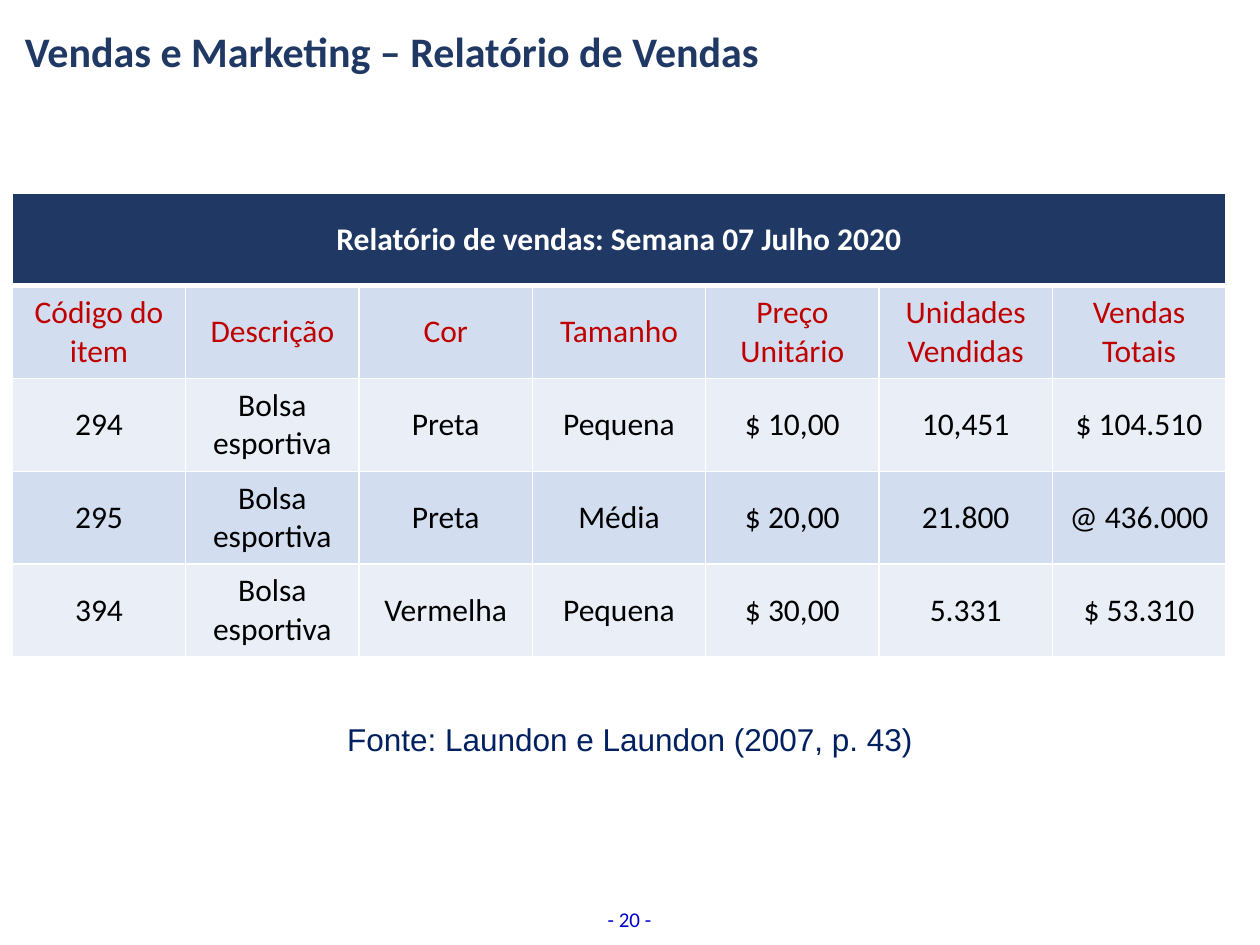
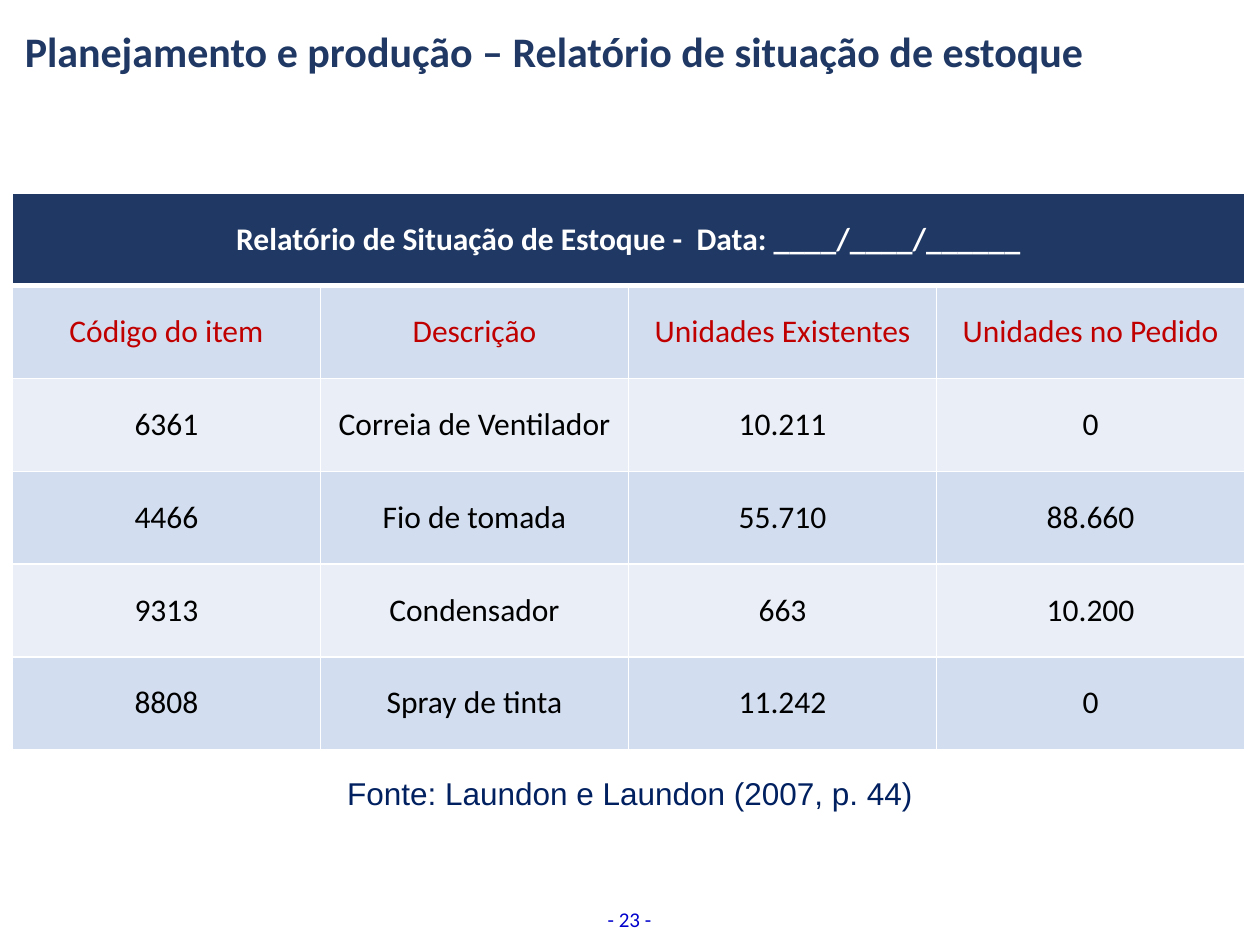
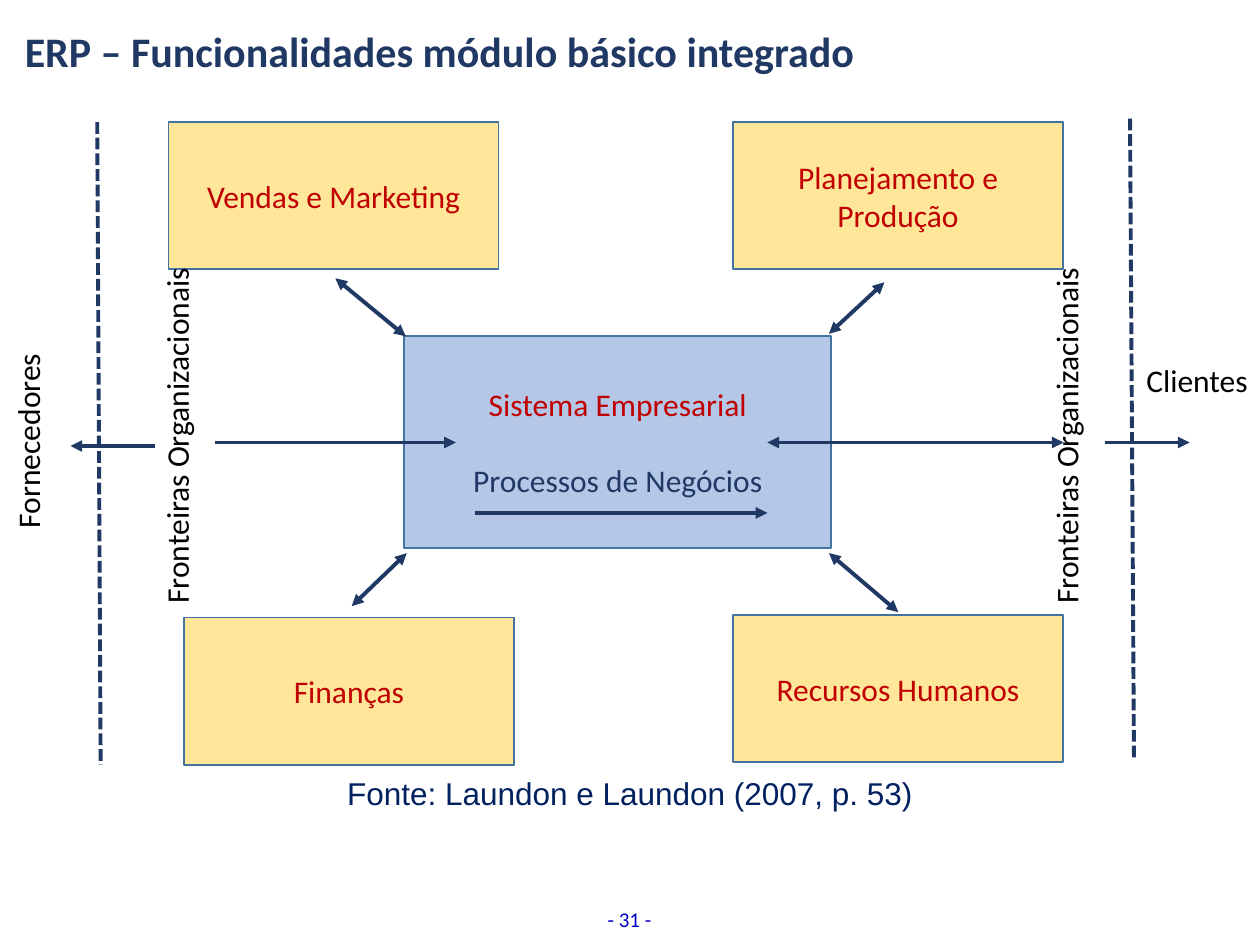
"""Build three slides: two report tables and the integrated ERP modules diagram."""
from lxml import etree
from pptx import Presentation
from pptx.dml.color import RGBColor
from pptx.enum.dml import MSO_LINE
from pptx.enum.shapes import MSO_CONNECTOR, MSO_SHAPE
from pptx.enum.text import MSO_ANCHOR, PP_ALIGN
from pptx.oxml import parse_xml
from pptx.oxml.ns import nsdecls, qn
from pptx.util import Cm, Pt

LEFT, MID = PP_ALIGN.LEFT, PP_ALIGN.CENTER
CORE = MSO_ANCHOR.MIDDLE
RECT = MSO_SHAPE.RECTANGLE
LINE = MSO_CONNECTOR.STRAIGHT
DASH = MSO_LINE.SQUARE_DOT
NAVY, RED, BLACK, WHITE = "203864", "C00000", "000000", "FFFFFF"
BANDS = ["D2DEEF", "EAEFF7"]


def hue(code):
    return RGBColor.from_string(code)


def write(frame, text, tone, size=18, face="Calibri", bold=False, align=MID):
    frame.text = text
    for par in frame.paragraphs:
        par.alignment = align
        par.font.size = Pt(size)
        par.font.name = face
        par.font.bold = bold
        par.font.color.rgb = hue(tone)


deck = Presentation()
deck.slide_width, deck.slide_height = Cm(25.4), Cm(19.05)

pages = [
    ("Vendas e Marketing – Relatório de Vendas", 20, 43, 14.4),
    ("Planejamento e produção – Relatório de situação de estoque", 23, 44, 15.47),
    ("ERP – Funcionalidades módulo básico integrado", 31, 53, 15.47),
]
slides = []
for title, page, cite, top in pages:
    slide = deck.slides.add_slide(deck.slide_layouts[6])
    slides.append(slide)
    texts = [
        ((0.69, 18.16, 24, 0.64), f"- {page} -", "0000CC", 12, "Calibri", False, MID),
        ((0.25, 0.33, 24.46, 1.37), title, NAVY, 24, "Calibri", True, LEFT),
        ((0, top, 25.4, 1.02), f"Fonte: Laundon e Laundon (2007, p. {cite})",
         "002060", 18, "Arial", False, MID),
    ]
    for place, *style in texts:
        frame = slide.shapes.add_textbox(*map(Cm, place)).text_frame
        frame.word_wrap = True
        write(frame, *style)
        if style[0] == title:
            frame.vertical_anchor = CORE

sales = [
    ["Relatório de vendas: Semana 07 Julho 2020"],
    ["Código do item", "Descrição", "Cor", "Tamanho", "Preço Unitário",
     "Unidades Vendidas", "Vendas Totais"],
    ["294", "Bolsa esportiva", "Preta", "Pequena", "$ 10,00", "10,451", "$ 104.510"],
    ["295", "Bolsa esportiva", "Preta", "Média", "$ 20,00", "21.800", "@ 436.000"],
    ["394", "Bolsa esportiva", "Vermelha", "Pequena", "$ 30,00", "5.331", "$ 53.310"],
]
stock = [
    ["Relatório de Situação de Estoque -  Data: ____/____/______"],
    ["Código do item", "Descrição", "Unidades Existentes", "Unidades no Pedido"],
    ["6361", "Correia de Ventilador", "10.211", "0"],
    ["4466", "Fio de tomada", "55.710", "88.660"],
    ["9313", "Condensador", "663", "10.200"],
    ["8808", "Spray de tinta", "11.242", "0"],
]
for slide, rows, width in zip(slides, (sales, stock), (24.46, 24.84)):
    count = len(rows[1])
    grid = slide.shapes.add_table(len(rows), count, Cm(0.25), Cm(3.89),
                                  Cm(width), Cm(1.87 * len(rows))).table
    grid.cell(0, 0).merge(grid.cell(0, count - 1))
    for r, row in enumerate(rows):
        for c in range(count):
            cell = grid.cell(r, c)
            cell.vertical_anchor = CORE
            cell.fill.solid()
            cell.fill.fore_color.rgb = hue(BANDS[(r - 1) % 2] if r else NAVY)
            if c < len(row):
                tone = [WHITE, RED, BLACK][min(r, 2)]
                write(cell.text_frame, row[c], tone, bold=r == 0)
            props = cell._tc.get_or_add_tcPr()
            for n, side in enumerate("LRTB"):
                thick = Pt(3 if (r, side) in [(0, "B"), (1, "T")] else 1)
                props.insert(n, parse_xml(
                    f'<a:ln{side} {nsdecls("a")} w="{thick}"><a:solidFill>'
                    f'<a:srgbClr val="{WHITE}"/></a:solidFill></a:ln{side}>'))

shapes = slides[2].shapes
boxes = [
    (8.15, 6.78, 8.61, 4.27, "B4C7E7", "Sistema Empresarial\nProcessos de Negócios"),
    (3.4, 2.46, 6.65, 2.97, "FFE699", "Vendas e Marketing"),
    (14.78, 2.46, 6.65, 2.97, "FFE699", "Planejamento e Produção"),
    (3.71, 12.45, 6.65, 2.97, "FFE699", "Finanças"),
    (14.78, 12.4, 6.65, 2.97, "FFE699", "Recursos Humanos"),
]
for *place, tone, text in boxes:
    box = shapes.add_shape(RECT, *map(Cm, place))
    box.shadow.inherit = False
    box.fill.solid()
    box.fill.fore_color.rgb = hue(tone)
    box.line.color.rgb = hue("43739E")
    box.line.width = Pt(1)
    frame = box.text_frame
    frame.word_wrap = True
    frame.vertical_anchor = CORE
    write(frame, text, RED)
    for par in frame.paragraphs[1:]:
        par.space_before = Pt(22)
        par.font.color.rgb = hue(NAVY)

BOTH, ONE = ("headEnd", "tailEnd"), ("tailEnd",)
lines = [
    (9.58, 10.34, 15.47, 10.34, ONE),
    (4.34, 8.92, 9.19, 8.92, ONE),
    (15.47, 8.92, 21.44, 8.92, BOTH),
    (17.83, 5.69, 16.71, 6.73, BOTH),
    (8.2, 11.15, 7.09, 12.22, BOTH),
    (16.71, 11.15, 18.11, 12.34, BOTH),
    (6.76, 5.61, 8.18, 6.78, BOTH),
    (1.96, 2.46, 2.03, 15.42, ()),
    (22.78, 2.39, 22.86, 15.34, ()),
    (3.12, 8.99, 1.42, 8.99, ONE),
    (22.28, 8.92, 23.98, 8.92, ONE),
]
for *ends, tips in lines:
    link = shapes.add_connector(LINE, *map(Cm, ends))
    link.line.color.rgb = hue(NAVY)
    link.line.width = Pt(2.25)
    if not tips:
        link.line.dash_style = DASH
    for tip in tips:
        etree.SubElement(link.line._get_or_add_ln(), qn(f"a:{tip}"), type="triangle")
    etree.SubElement(link._element.spPr, qn("a:effectLst"))

labels = [
    (22.86, 7.16, 2.59, 1.02, "horz", "Clientes"),
    (0.05, 7.09, 1.27, 3.81, "vert270", "Fornecedores"),
    (3.05, 5.33, 1.27, 7.09, "vert270", "Fronteiras Organizacionais"),
    (20.98, 5.33, 1.27, 7.09, "vert270", "Fronteiras Organizacionais"),
]
for *place, turn, text in labels:
    frame = shapes.add_textbox(*map(Cm, place)).text_frame
    frame.word_wrap = False
    frame._txBody.bodyPr.set("vert", turn)
    write(frame, text, BLACK, align=LEFT)

deck.save("out.pptx")
